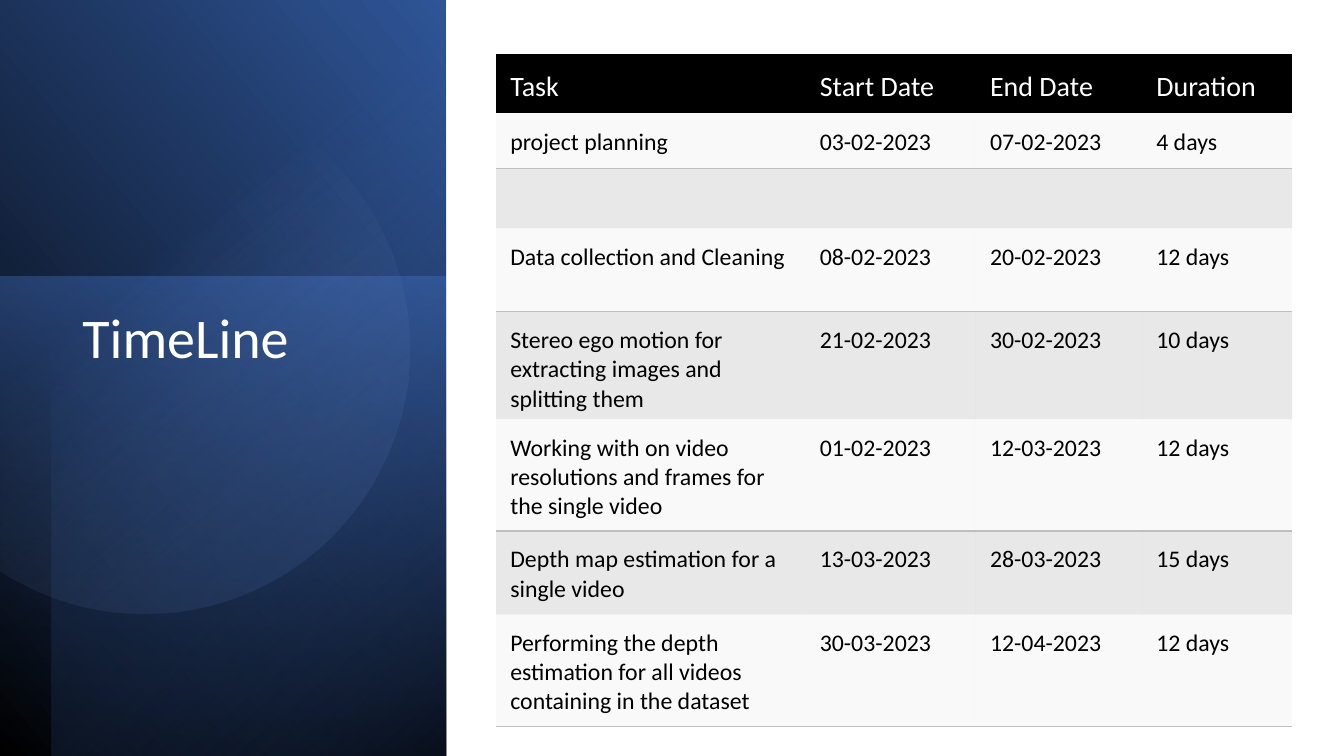
import math

from lxml import etree
from pptx import Presentation
from pptx.dml.color import RGBColor
from pptx.enum.shapes import MSO_SHAPE
from pptx.enum.text import MSO_ANCHOR
from pptx.oxml.ns import qn
from pptx.util import Cm, Pt

RECTANGLE = MSO_SHAPE.RECTANGLE
TOP, MIDDLE = MSO_ANCHOR.TOP, MSO_ANCHOR.MIDDLE

BLACK = RGBColor(0x00, 0x00, 0x00)
WHITE = RGBColor(0xFF, 0xFF, 0xFF)
DEEP_BLUE = RGBColor(0x2F, 0x55, 0x97)
NAVY = RGBColor(0x20, 0x38, 0x64)
BLUE = RGBColor(0x44, 0x72, 0xC4)
PALE_BLUE = RGBColor(0x8F, 0xAA, 0xDC)
LIGHT_GREY = RGBColor(0xF2, 0xF2, 0xF2)
GREY = RGBColor(0xBF, 0xBF, 0xBF)

FONT = "Calibri"
NO_STYLE = "{2D5ABB26-0587-4C30-8999-92F81FD0307C}"

# Panel layers: left, top, width, height, rotation, flipped, stops, angle
# A stop is position, colour, opacity in percent
PANEL_LAYERS = [
    (-3.94, 3.94, 19.1, 11.23, 90, True,
     [(0, BLACK, 100), (1, DEEP_BLUE, 100)], 310),
    (-0.43, 7.39, 12.09, 11.23, 270, False,
     [(0, BLUE, 50), (1, NAVY, 0)], 190),
    (-3.28, 4.55, 19.1, 9.96, 270, True,
     [(0, BLACK, 59), (0.69, BLUE, 0)], 220),
]

COLUMN_WIDTHS = [7.8, 4.29, 4.19, 3.78]
ROW_HEIGHTS = [1.5, 1.4, 1.5, 2.11, 2.11, 2.82, 2.11, 2.82]
SCHEDULE = [
    ("Task", "Start Date", "End Date", "Duration"),
    ("project planning", "03-02-2023", "07-02-2023", "4 days"),
    None,
    ("Data collection and Cleaning", "08-02-2023", "20-02-2023", "12 days"),
    ("Stereo ego motion for extracting images and splitting them",
     "21-02-2023", "30-02-2023", "10 days"),
    ("Working with on video resolutions and frames for the single video",
     "01-02-2023", "12-03-2023", "12 days"),
    ("Depth map estimation for a single video",
     "13-03-2023", "28-03-2023", "15 days"),
    ("Performing the depth estimation for all videos containing in the dataset",
     "30-03-2023", "12-04-2023", "12 days"),
]


def set_opacity(colour_element, percent):
    alpha = etree.SubElement(colour_element, qn("a:alpha"))
    alpha.set("val", str(percent * 1000))


def fill_gradient(shape, stops, angle):
    """Give the shape a two-stop gradient; angle runs clockwise."""
    shape.shadow.inherit = False
    shape.line.fill.background()
    shape.fill.gradient()
    shape.fill.gradient_angle = 360 - angle
    for stop, (position, colour, _) in zip(shape.fill.gradient_stops, stops):
        stop.position = position
        stop.color.rgb = colour
    colour_elements = list(shape._element.spPr.iter(qn("a:srgbClr")))
    for element, (_, _, opacity) in zip(colour_elements, stops):
        if opacity < 100:
            set_opacity(element, opacity)


def write_text(frame, text, size, colour, line_spacing=None, space_after=None):
    frame.word_wrap = True
    paragraph = frame.paragraphs[0]
    paragraph.line_spacing = line_spacing
    paragraph.space_after = space_after
    run = paragraph.add_run()
    run.text = text
    run.font.name = FONT
    run.font.size = Pt(size)
    run.font.color.rgb = colour


def add_panel_layer(slide, left, top, width, height, rotation, flipped, stops, angle):
    layer = slide.shapes.add_shape(RECTANGLE, Cm(left), Cm(top), Cm(width), Cm(height))
    layer.rotation = rotation
    if flipped:
        layer._element.spPr.xfrm.set("flipH", "1")
    fill_gradient(layer, stops, angle)


def add_cut_circle(slide):
    """Circle cut off by the slide's left edge, held in a turned frame."""
    centre_x, centre_y, radius = 3.63, 8.81, 6.68
    frame_x, frame_y, rotation = 4.6, 9.0, 101.6
    steps = 120
    turn = math.radians(-rotation)
    cut_angle = math.acos(-centre_x / radius)
    points = []
    for step in range(steps + 1):
        arc = cut_angle * (2 * step / steps - 1)
        dx = centre_x + radius * math.cos(arc) - frame_x
        dy = centre_y + radius * math.sin(arc) - frame_y
        points.append((
            Cm(frame_x + dx * math.cos(turn) - dy * math.sin(turn)),
            Cm(frame_y + dx * math.sin(turn) + dy * math.cos(turn)),
        ))
    builder = slide.shapes.build_freeform(*points[0])
    builder.add_line_segments(points[1:], close=True)
    circle = builder.convert_to_shape()
    circle.rotation = rotation
    fill_gradient(circle, [(0.39, PALE_BLUE, 0), (1, DEEP_BLUE, 26)], 310)


def add_title(slide):
    title = slide.shapes.add_textbox(Cm(1.83), Cm(7.7), Cm(8), Cm(8.53))
    write_text(title.text_frame, "TimeLine", size=40, colour=WHITE,
               line_spacing=0.9, space_after=Pt(6))


def set_borders(cell, ruled_side):
    """Rule one side of the cell in grey and clear the others."""
    properties = cell._tc.get_or_add_tcPr()
    for index, side in enumerate(("lnL", "lnR", "lnT", "lnB")):
        line = etree.Element(qn(f"a:{side}"), w=str(Pt(1)))
        if side == ruled_side:
            solid = etree.SubElement(line, qn("a:solidFill"))
            etree.SubElement(solid, qn("a:srgbClr"), val=str(GREY))
        else:
            etree.SubElement(line, qn("a:noFill"))
        properties.insert(index, line)


def format_cell(cell, colour, opacity, ruled_side, anchor):
    cell.margin_left = cell.margin_right = cell.margin_top = Cm(0.36)
    cell.margin_bottom = Cm(0.18)
    cell.vertical_anchor = anchor
    cell.fill.solid()
    cell.fill.fore_color.rgb = colour
    if opacity < 100:
        set_opacity(next(cell._tc.tcPr.iter(qn("a:srgbClr"))), opacity)
    set_borders(cell, ruled_side)


def add_schedule(slide):
    frame = slide.shapes.add_table(
        len(SCHEDULE), len(COLUMN_WIDTHS), Cm(12.5), Cm(1.35),
        Cm(sum(COLUMN_WIDTHS)), Cm(sum(ROW_HEIGHTS)))
    schedule = frame.table
    schedule._tbl.tblPr.find(qn("a:tableStyleId")).text = NO_STYLE
    for column, width in zip(schedule.columns, COLUMN_WIDTHS):
        column.width = Cm(width)
    for row, height in zip(schedule.rows, ROW_HEIGHTS):
        row.height = Cm(height)

    for row_index, entries in enumerate(SCHEDULE):
        if row_index == 0:
            look, size, colour = (BLACK, 100, None, MIDDLE), 20, WHITE
        elif row_index % 2:
            look, size, colour = (LIGHT_GREY, 45, "lnB", TOP), 17, BLACK
        else:
            look, size, colour = (GREY, 35, "lnT", TOP), 17, BLACK
        cells = list(schedule.rows[row_index].cells)
        for cell in cells:
            format_cell(cell, *look)
        if entries is None:
            cells[0].merge(cells[-1])
            continue
        for cell, text in zip(cells, entries):
            write_text(cell.text_frame, text, size=size, colour=colour)


def main():
    deck = Presentation()
    deck.slide_width, deck.slide_height = Cm(33.87), Cm(19.05)
    slide = deck.slides.add_slide(deck.slide_layouts[6])

    # Blue side panel
    for layer in PANEL_LAYERS:
        add_panel_layer(slide, *layer)
    add_cut_circle(slide)
    add_title(slide)

    # Task table
    add_schedule(slide)
    deck.save("out.pptx")


if __name__ == "__main__":
    main()
